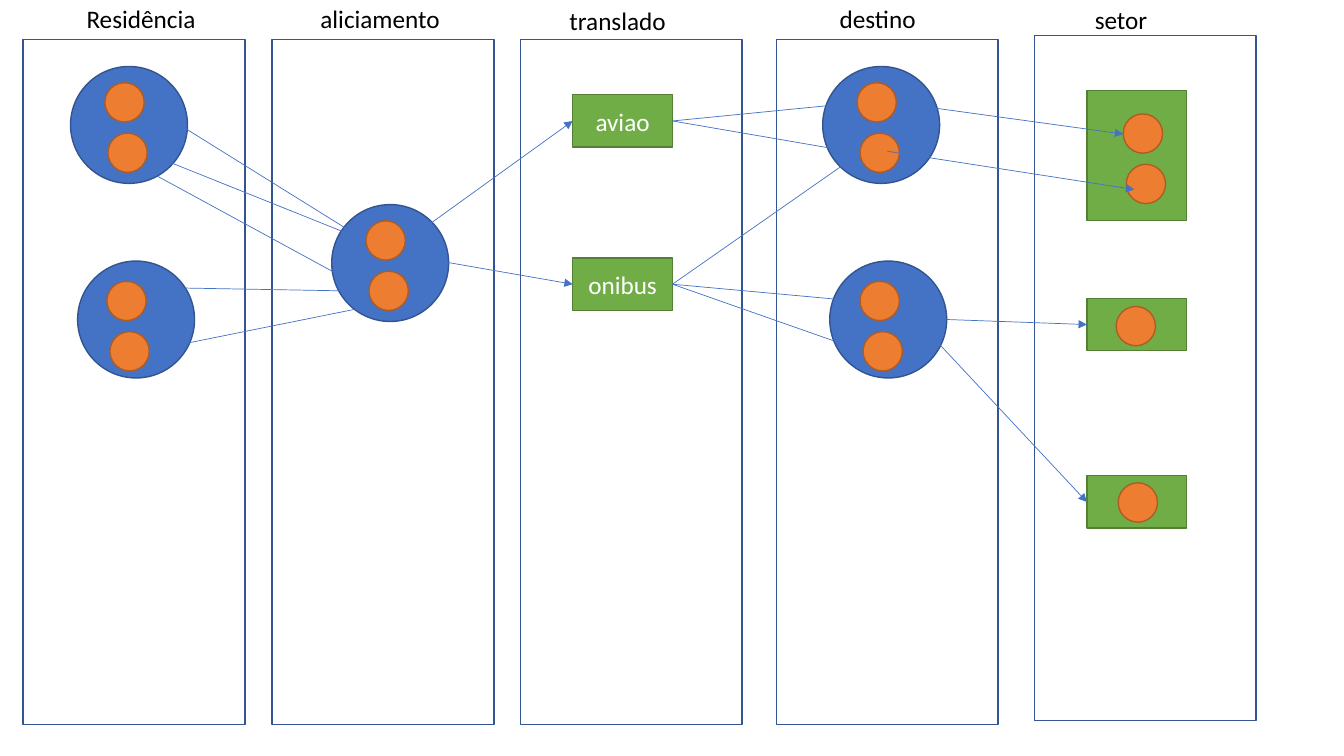
"""Draw a flow of five stages, from residence to sector."""
from lxml.etree import SubElement
from pptx import Presentation
from pptx.dml.color import RGBColor
from pptx.enum.shapes import MSO_CONNECTOR, MSO_SHAPE
from pptx.enum.text import MSO_ANCHOR, MSO_AUTO_SIZE, PP_ALIGN
from pptx.oxml.ns import qn
from pptx.util import Inches, Pt

BLUE = RGBColor(0x44, 0x72, 0xC4)
NAVY = RGBColor(0x32, 0x54, 0x91)
ORANGE = RGBColor(0xED, 0x7D, 0x31)
BROWN = RGBColor(0xAF, 0x5C, 0x24)
GREEN = RGBColor(0x70, 0xAD, 0x47)
MOSS = RGBColor(0x53, 0x80, 0x35)
BLACK = RGBColor(0, 0, 0)
WHITE = RGBColor(0xFF, 0xFF, 0xFF)

CELL = Inches(0.1)
LEFT, RIGHT = 1, 3
HUB, DOT = 11.6, 3.9

STAGES = [
    ("Residência", 7.6, -0.2, 12.9, 2.3, 3.9),
    ("aliciamento", 30.8, -0.2, 14, 27, 3.9),
    ("translado", 55.5, 0, 11.7, 51.6, 3.9),
    ("destino", 82.3, -0.2, 9.7, 77, 3.9),
    ("setor", 107.6, -0.1, 7.3, 102.6, 3.5),
]
HUBS = [
    (7, 6.6, 3.4, 1.6),
    (7.7, 25.9, 2.9, 2),
    (32.9, 20.3, 3.4, 1.6),
    (81.6, 6.6, 3.4, 1.6),
    (82.3, 25.9, 3, 2),
]


def grid(*cells):
    """Turn grid cells into lengths."""
    return [round(n * CELL) for n in cells]


def write(shape, text, size=18, color=BLACK, align=PP_ALIGN.LEFT):
    """Put formatted text into a shape."""
    para = shape.text_frame.paragraphs[0]
    para.alignment = align
    run = para.add_run()
    run.text = text
    run.font.size = Pt(size)
    run.font.name = "Calibri"
    run.font.color.rgb = color


def draw(slide, kind, x, y, wide, high, fill, edge):
    """Add a preset shape; no fill colour leaves it hollow."""
    shape = slide.shapes.add_shape(kind, *grid(x, y, wide, high))
    shape.shadow.inherit = False
    if fill is None:
        shape.fill.background()
    else:
        shape.fill.solid()
        shape.fill.fore_color.rgb = fill
    shape.line.color.rgb = edge
    shape.line.width = Pt(1)
    return shape


def stage(slide, name, x, y, wide, left, top):
    """Add a tall panel and its heading."""
    draw(slide, MSO_SHAPE.RECTANGLE, left, top, 22, 68, None, NAVY)
    head = slide.shapes.add_textbox(*grid(x, y, wide, 4))
    head.text_frame.word_wrap = False
    head.text_frame.auto_size = MSO_AUTO_SIZE.SHAPE_TO_FIT_TEXT
    write(head, name)


def dot(slide, x, y):
    """Add one orange dot."""
    draw(slide, MSO_SHAPE.OVAL, x, y, DOT, DOT, ORANGE, BROWN)


def pair(slide, x, y):
    """Add two dots, the lower one slightly to the right."""
    dot(slide, x, y)
    dot(slide, x + 0.3, y + 5)


def hub(slide, x, y, right, down):
    """Add a blue circle holding two dots."""
    draw(slide, MSO_SHAPE.OVAL, x, y, HUB, HUB, BLUE, NAVY)
    pair(slide, x + right, y + down)


def box(slide, x, y, high=5.2, text=None):
    """Add a green box, with a label if given."""
    shape = draw(slide, MSO_SHAPE.RECTANGLE, x, y, 9.9, high, GREEN, MOSS)
    if text:
        shape.text_frame.vertical_anchor = MSO_ANCHOR.MIDDLE
        write(shape, text, color=WHITE, align=PP_ALIGN.CENTER)
    return shape


def mid(shape, side):
    """Give the middle of a box's left or right side, in cells."""
    x = shape.left + (shape.width if side == RIGHT else 0)
    return x / CELL, (shape.top + shape.height / 2) / CELL


def arrow(slide, start, end):
    """Join two ends, each a point or a box."""
    first = start if isinstance(start, tuple) else mid(start, RIGHT)
    last = end if isinstance(end, tuple) else mid(end, LEFT)
    line = slide.shapes.add_connector(MSO_CONNECTOR.STRAIGHT, *grid(*first, *last))
    if first is not start:
        line.begin_connect(start, RIGHT)
    if last is not end:
        line.end_connect(end, LEFT)
    line.line.color.rgb = BLUE
    line.line.width = Pt(0.5)
    SubElement(line.line._get_or_add_ln(), qn("a:tailEnd"), type="triangle")
    SubElement(line._element.spPr, qn("a:effectLst"))


def main():
    """Build and save the slide."""
    deck = Presentation()
    deck.slide_width, deck.slide_height = Inches(13.33), Inches(7.5)
    slide = deck.slides.add_slide(deck.slide_layouts[6])
    for item in STAGES:
        stage(slide, *item)
    for item in HUBS:
        hub(slide, *item)

    plane = box(slide, 56.8, 9.4, text="aviao")
    bus = box(slide, 56.8, 25.6, text="onibus")
    box(slide, 107.8, 9, high=12.9)
    upper = box(slide, 107.8, 29.6)
    lower = box(slide, 107.8, 47.2)
    pair(slide, 111.4, 11.3)
    dot(slide, 110.7, 30.4)
    dot(slide, 110.9, 47.9)

    for start, end in [
        ((14.3, 10.2), (36.3, 23.9)),
        ((14.6, 15.2), (36.3, 23.9)),
        ((14, 16.6), (36.6, 28.9)),
        ((14, 28.5), (36.6, 28.9)),
        ((14.8, 34.8), (37.1, 30.3)),
        ((40.3, 23.9), plane),
        ((41.9, 25.6), bus),
        (plane, (85, 10.2)),
        (plane, (85.3, 15.2)),
        (bus, (85.3, 15.2)),
        (bus, (85.3, 29.9)),
        (bus, (85.5, 34.8)),
        ((88.9, 10.2), (111.4, 13.3)),
        ((88, 15), (112.5, 18.8)),
        ((93.9, 31.7), upper),
        ((89.2, 29.9), lower),
    ]:
        arrow(slide, start, end)
    deck.save("out.pptx")


if __name__ == "__main__":
    main()
